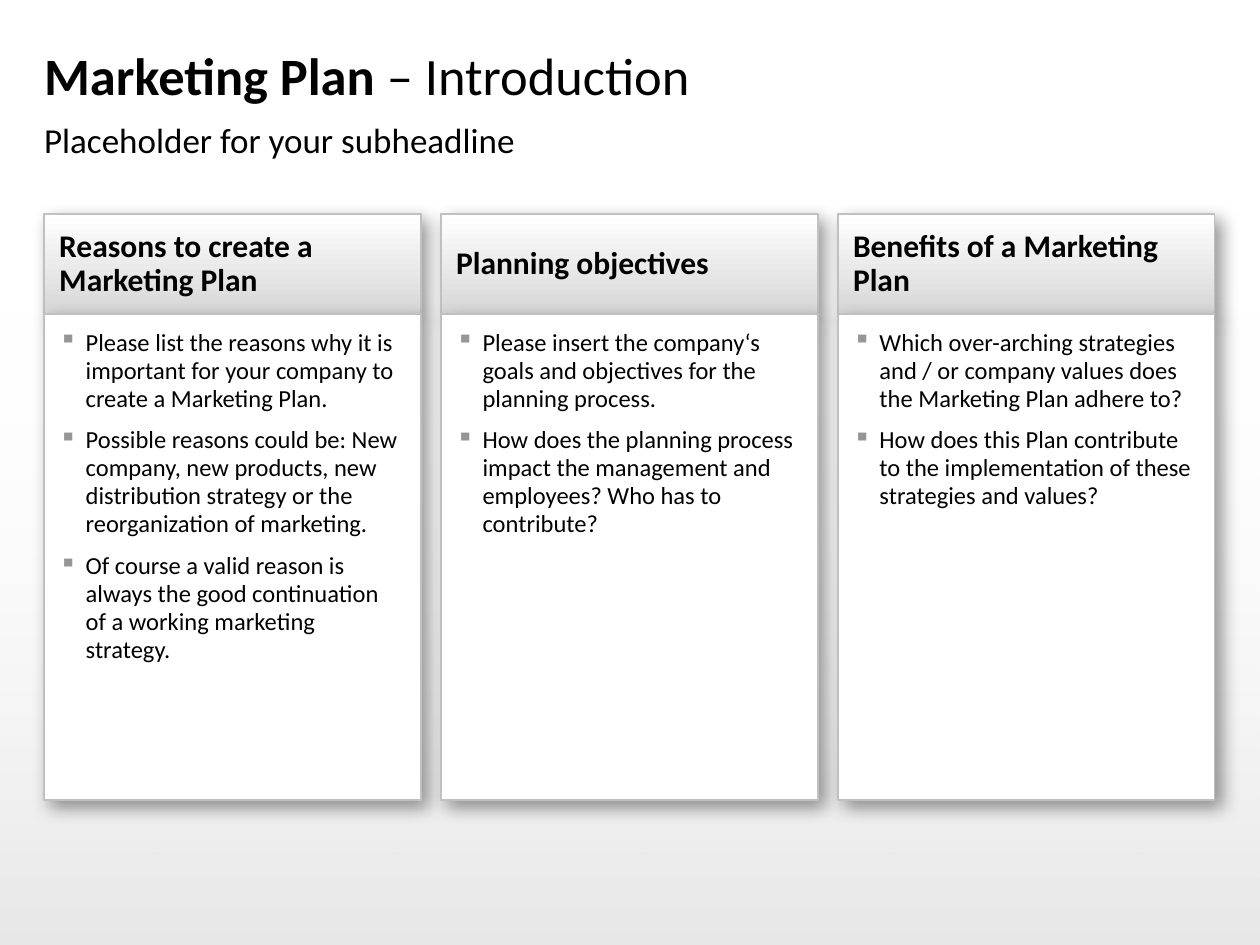
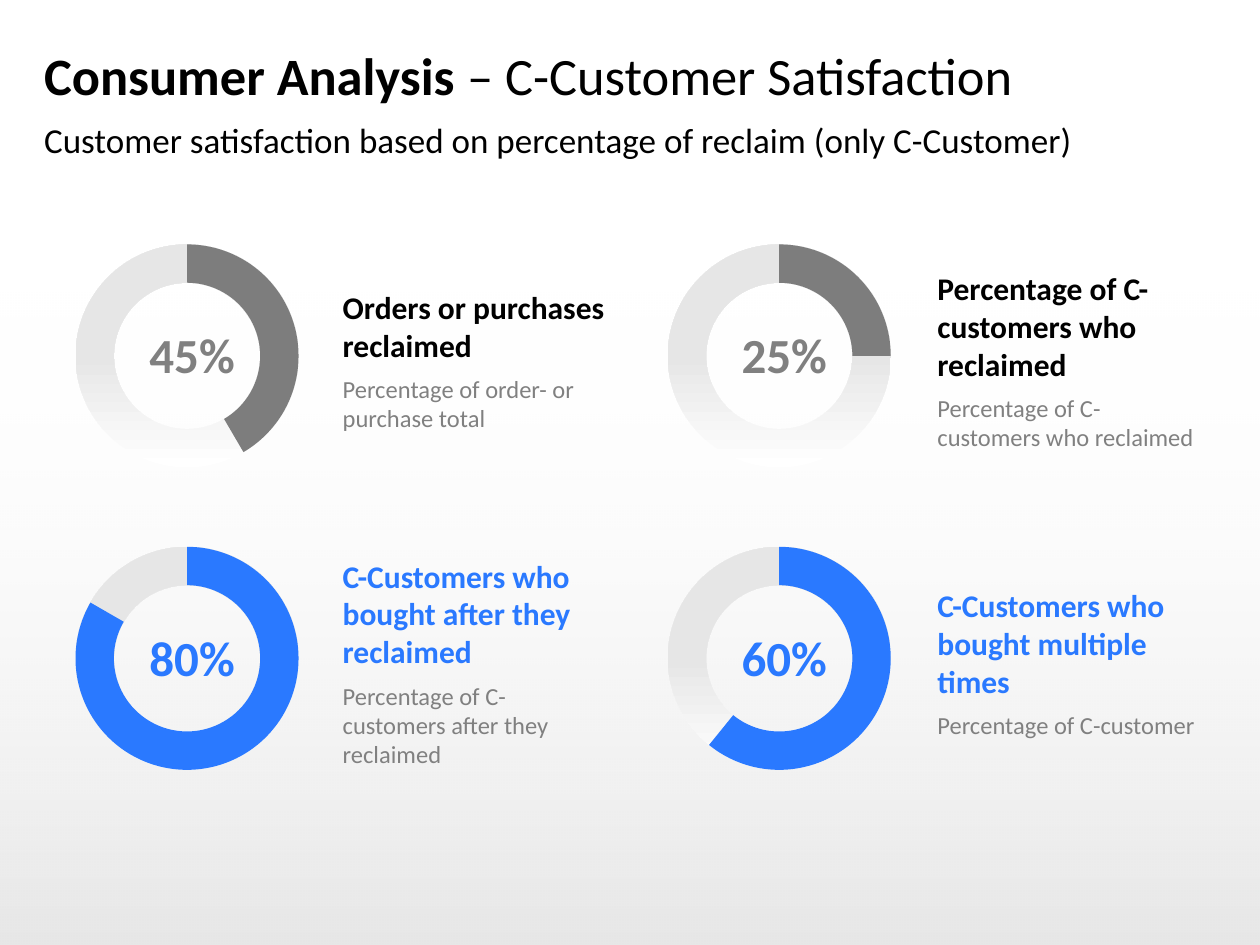
import dataclasses
import itertools

import lxml.etree
import pptx
import pptx.dml.color
import pptx.enum.shapes
import pptx.enum.text
import pptx.oxml.ns
import pptx.util

Inches = pptx.util.Inches
Pt = pptx.util.Pt
SHAPE = pptx.enum.shapes.MSO_SHAPE
ANCHOR = pptx.enum.text.MSO_ANCHOR
ALIGN = pptx.enum.text.PP_ALIGN


@dataclasses.dataclass(frozen=True)
class Theme:
    """Colours, font and type sizes shared by the slides."""
    font: str = "Calibri"
    black: str = "000000"
    white: str = "FFFFFF"
    header_grey: str = "D7D7D7"
    border: str = "C0C0C0"
    bullet: str = "969696"
    track: str = "E6E6E6"
    arc_grey: str = "7D7D7D"
    text_grey: str = "808080"
    blue: str = "2A79FF"
    title: int = 30
    percent: int = 28
    subtitle: int = 20
    heading: int = 18
    body: int = 14


THEME = Theme()

COLUMNS = [
    ("Reasons to create a Marketing Plan", [
        "Please list the reasons why it is important for your company to create a Marketing Plan.",
        "Possible reasons could be: New company, new products, new distribution strategy "
        "or the reorganization of marketing.",
        "Of course a valid reason is always the good continuation of a working marketing strategy."]),
    ("Planning objectives", [
        "Please insert the company‘s goals and objectives for the planning process.",
        "How does the planning process impact the management and employees? Who has to contribute?"]),
    ("Benefits of a Marketing Plan", [
        "Which over-arching strategies and / or company values does the Marketing Plan adhere to?",
        "How does this Plan contribute to the implementation of these strategies and values?"]),
]

GREY_LOOK = (THEME.arc_grey, THEME.text_grey, THEME.black)
BLUE_LOOK = (THEME.blue, THEME.blue, THEME.blue)
DIALS = [
    ("45%", 149.6, GREY_LOOK, "Orders or purchases reclaimed",
     "Percentage of order- or purchase total"),
    ("25%", 90, GREY_LOOK, "Percentage of C-customers who reclaimed",
     "Percentage of C-customers who reclaimed"),
    ("80%", 300, BLUE_LOOK, "C-Customers who bought after they reclaimed",
     "Percentage of C-customers after they reclaimed"),
    ("60%", 219, BLUE_LOOK, "C-Customers who bought multiple times",
     "Percentage of C-customer"),
]


def rgb(code):
    """Turn a hex code into a colour."""
    return pptx.dml.color.RGBColor.from_string(code)


def add_xml(parent, tag, **attributes):
    """Append a DrawingML element and return it."""
    values = {name: str(value) for name, value in attributes.items()}
    return lxml.etree.SubElement(parent, pptx.oxml.ns.qn(tag), values)


def add_bullet(para):
    """Give a paragraph a grey square bullet with a hanging indent."""
    settings = para._p.get_or_add_pPr()
    settings.set("marL", str(Inches(0.21)))
    settings.set("indent", str(Inches(-0.21)))
    add_xml(add_xml(settings, "a:buClr"), "a:srgbClr", val=THEME.bullet)
    add_xml(settings, "a:buChar", char="▪")


def write(frame, text, *, size, color=THEME.black, bold=False, joined=False, bullet=False,
          align=ALIGN.LEFT, line_spacing=None, space_after=0):
    """Write text in a new paragraph, or joined to the last one."""
    para = frame.paragraphs[-1]
    if not joined:
        if para.runs:
            para = frame.add_paragraph()
        if bullet:
            add_bullet(para)
        para.alignment = align
        para.line_spacing = line_spacing
        para.space_after = Pt(space_after)
    span = para.add_run()
    span.text = text
    span.font.name = THEME.font
    span.font.size = Pt(size)
    span.font.bold = bold
    span.font.color.rgb = rgb(color)


def set_frame(shape, insets=(0, 0, 0, 0), anchor=ANCHOR.TOP):
    """Set wrapping, insets and anchor, and return the text frame."""
    frame = shape.text_frame
    frame.word_wrap = True
    frame.vertical_anchor = anchor
    (frame.margin_left, frame.margin_top,
     frame.margin_right, frame.margin_bottom) = map(Inches, insets)
    return frame


def add_text_box(shapes, box, **layout):
    """Add a text box and return its text frame."""
    return set_frame(shapes.add_textbox(*map(Inches, box)), **layout)


def add_shape(shapes, kind, box, fill=None, line=None):
    """Add a plain shape without shadow."""
    shape = shapes.add_shape(kind, *map(Inches, box))
    shape.shadow.inherit = False
    if fill:
        shape.fill.solid()
        shape.fill.fore_color.rgb = rgb(fill)
    if line:
        shape.line.color.rgb = rgb(line)
        shape.line.width = Pt(1)
    else:
        shape.line.fill.background()
    return shape


def set_gradient(shape, colors, angle, end=1, alphas=()):
    """Fill a shape with a two-colour linear gradient."""
    shape.fill.gradient()
    shape.fill.gradient_angle = angle
    for stop, color, position in zip(shape.fill.gradient_stops, colors, (0, end)):
        stop.color.rgb = rgb(color)
        stop.position = position
    tones = shape.fill._xPr.iter(pptx.oxml.ns.qn("a:srgbClr"))
    for tone, alpha in zip(tones, alphas):
        add_xml(tone, "a:alpha", val=alpha * 1000)


def cast_shadow(shape):
    """Give a shape a soft shadow to the lower right."""
    effects = shape.element.spPr.find(pptx.oxml.ns.qn("a:effectLst"))
    shadow = add_xml(effects, "a:outerShdw", blurRad=Pt(10), dist=Pt(5), dir=45 * 60000,
                     algn="tl", rotWithShape=0)
    add_xml(add_xml(shadow, "a:srgbClr", val=THEME.black), "a:alpha", val=40000)


def add_page(deck, topic, detail, subtitle):
    """Add a page with the shared backdrop, title and subtitle."""
    page = deck.slides.add_slide(deck.slide_layouts[6])
    backdrop = add_shape(page.shapes, SHAPE.RECTANGLE, (0, 2.21, 10, 5.29))
    set_gradient(backdrop, (THEME.black, THEME.white), 90, alphas=(10, 0))
    title = add_text_box(page.shapes, (0.35, 0.26, 9.29, 0.67), anchor=ANCHOR.MIDDLE)
    write(title, topic, size=THEME.title, bold=True)
    write(title, f" – {detail}", size=THEME.title, joined=True)
    write(add_text_box(page.shapes, (0.35, 0.94, 9.29, 0.37)), subtitle, size=THEME.subtitle)
    return page


def add_column(page, box, heading, points):
    """Draw a card with a shaded header above a bullet list."""
    left, top, width, height = box
    header_height = 0.79
    shapes = page.shapes.add_group_shape().shapes
    header = add_shape(shapes, SHAPE.RECTANGLE, (left, top, width, header_height),
                       line=THEME.border)
    set_gradient(header, (THEME.white, THEME.header_grey), 270)
    body = add_shape(shapes, SHAPE.RECTANGLE,
                     (left, top + header_height, width, height - header_height),
                     fill=THEME.white, line=THEME.border)
    for shape in (header, body):
        cast_shadow(shape)
    write(set_frame(header, (0.12, 0.08, 0.12, 0.08), ANCHOR.MIDDLE), heading,
          size=THEME.heading, bold=True, line_spacing=0.9)
    frame = set_frame(body, (0.12, 0.12, 0.16, 0.08))
    for point in points:
        write(frame, point, size=THEME.body, bullet=True, line_spacing=0.95, space_after=8)


def add_dial(page, box, percent, sweep, look, heading, note):
    """Draw a ring gauge at the left of the box and its caption at the right."""
    left, top, width, height = box
    arc_color, percent_color, heading_color = look
    size, caption_width, thickness = 1.77, 2.2, 0.172
    shapes = page.shapes.add_group_shape().shapes
    ring_box = (left, top + 0.24, size, size)
    track = add_shape(shapes, SHAPE.DONUT, ring_box)
    track.adjustments[0] = thickness
    set_gradient(track, (THEME.white, THEME.track), 90, end=0.5)
    label = add_text_box(shapes, (left, top + 0.24, size, 1.74), insets=(0.08, 0, 0, 0),
                         anchor=ANCHOR.MIDDLE)
    write(label, percent, size=THEME.percent, color=percent_color, bold=True, align=ALIGN.CENTER)
    arc = add_shape(shapes, SHAPE.BLOCK_ARC, ring_box, fill=arc_color)
    for index, degrees in enumerate((270, (270 + sweep) % 360)):
        arc.adjustments[index] = degrees * 0.6
    arc.adjustments[2] = thickness
    caption = add_text_box(shapes, (left + width - caption_width, top, caption_width, height),
                           insets=(0, 0.08, 0.12, 0), anchor=ANCHOR.MIDDLE)
    write(caption, heading, size=THEME.heading, color=heading_color, bold=True, space_after=6)
    write(caption, note, size=THEME.body, color=THEME.text_grey, space_after=6)


def build_introduction(deck):
    """Build the page of three equal columns."""
    page = add_page(deck, "Marketing Plan", "Introduction", "Placeholder for your subheadline")
    for index, (heading, points) in enumerate(COLUMNS):
        add_column(page, (0.35 + 3.15 * index, 1.7, 2.99, 4.65), heading, points)


def build_satisfaction(deck):
    """Build the page of four dials in a two by two grid."""
    page = add_page(deck, "Consumer Analysis", "C-Customer Satisfaction",
                    "Customer satisfaction based on percentage of reclaim (only C-Customer)")
    cells = itertools.product((1.7, 4.1), ((0.6, 4.32), (5.3, 4.34)))
    for (top, (left, width)), dial in zip(cells, DIALS):
        add_dial(page, (left, top, width, 2.24), *dial)


def main():
    """Build and save the deck."""
    deck = pptx.Presentation()
    deck.slide_width, deck.slide_height = Inches(10), Inches(7.5)
    build_introduction(deck)
    build_satisfaction(deck)
    deck.save("out.pptx")


if __name__ == "__main__":
    main()
